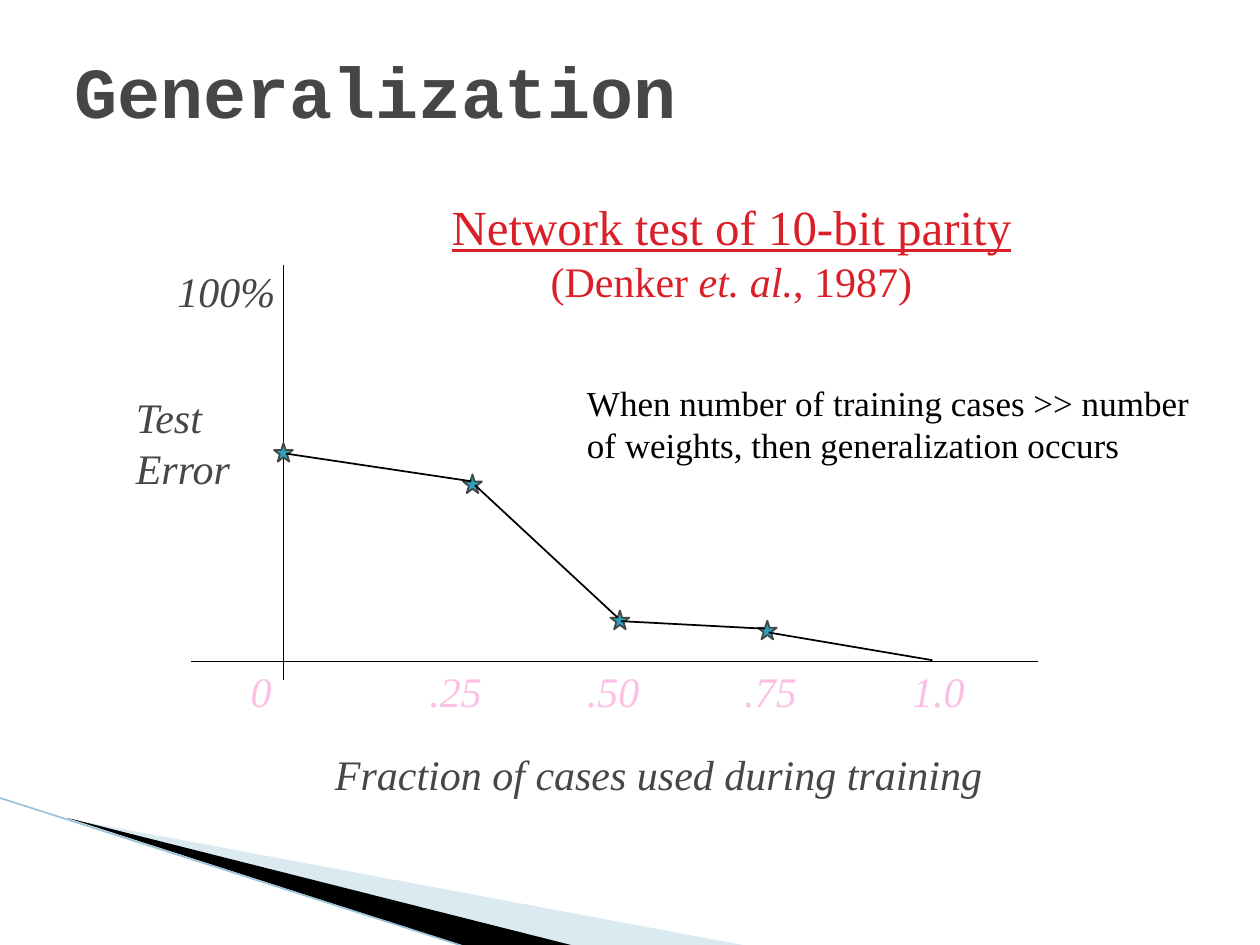
from dataclasses import dataclass
from lxml import etree
from pptx import Presentation
from pptx.dml.color import RGBColor
from pptx.enum.shapes import MSO_CONNECTOR, MSO_SHAPE
from pptx.enum.text import MSO_ANCHOR, MSO_AUTO_SIZE, PP_ALIGN
from pptx.oxml.ns import qn
from pptx.util import Inches, Pt

LEFT, CENTER = PP_ALIGN.LEFT, PP_ALIGN.CENTER
MIDDLE = MSO_ANCHOR.MIDDLE
FIT, NO_FIT = MSO_AUTO_SIZE.SHAPE_TO_FIT_TEXT, MSO_AUTO_SIZE.NONE
STRAIGHT, STAR = MSO_CONNECTOR.STRAIGHT, MSO_SHAPE.STAR_5_POINT


@dataclass(frozen=True)
class Theme:
    head: str = "Courier New"
    body: str = "Times New Roman"
    gray: str = "464646"
    black: str = "000000"
    red: str = "DA1F28"
    pink: str = "FDC0E5"
    teal: str = "2DA2BF"
    pale: str = "A0CBDC"
    edge: str = "97C5D8"
    title: int = 41
    large: int = 28
    label: int = 24
    note: int = 20


T = Theme()

# Wedges: points, fill, opacity in percent
WEDGES = [
    ([(0.55, 6.5), (5.95, 7.51), (4.56, 7.51)], T.pale, 40),
    ([(0.53, 6.49), (4.57, 7.51), (3.72, 7.52)], T.black, 100),
]
EDGE = ((-0.01, 6.33), (3.71, 7.52))
AXES = [((2.25, 2.1), (2.25, 5.4)), ((1.52, 5.25), (8.24, 5.25))]

TITLE = "Generalization"
LABELS = [
    ((2.56, 5.89, 5.35, 0.51), ["Fraction of cases used during training"]),
    ((0.98, 3.06, 0.97, 0.91), ["Test", "Error"]),
    ((1.31, 2.06, 0.99, 0.51), ["100%"]),
]
TICKS = [("0", 1.89, 0.38), (".25", 3.31, 0.63), (".50", 4.56, 0.63),
         (".75", 5.81, 0.63), ("1.0", 7.14, 0.63)]
TICK_TOP, TICK_TALL = 5.23, 0.51

STARS = [(2.25, 3.59), (3.75, 3.84), (4.92, 4.92), (6.09, 5.0)]
STAR_SIZE = 0.15
CURVE = [((2.27, 3.6), (3.74, 3.82)), ((3.77, 3.85), (4.9, 4.9)),
         ((4.93, 4.93), (6.07, 4.99)), ((6.1, 5.02), (7.4, 5.24))]

# Runs: text, size, style letters (i italic, u underline)
SOURCE = [
    [("Network test of 10-bit parity", T.large, "u")],
    [("(Denker ", T.label, ""), ("et. al.", T.label, "i"),
     (", 1987)", T.label, "")],
]
NOTE = ("When number of training cases >> number of weights, "
        "then generalization occurs")


def rgb(code):
    return RGBColor.from_string(code)


def add_run(para, text, size, color, style="", font=T.body):
    run = para.add_run()
    run.text = text
    face = run.font
    face.name, face.size = font, Pt(size)
    face.color.rgb = rgb(color)
    face.bold, face.italic, face.underline = (k in style for k in "biu")


def add_text(slide, box, lines, color, align=LEFT, wrap=False):
    frame = slide.shapes.add_textbox(*map(Inches, box)).text_frame
    frame.word_wrap = wrap
    frame.auto_size = FIT
    for i, runs in enumerate(lines):
        para = frame.add_paragraph() if i else frame.paragraphs[0]
        para.alignment = align
        for text, size, style in runs:
            add_run(para, text, size, color, style)


def add_line(slide, ends, color=T.black, width=1):
    (x1, y1), (x2, y2) = ends
    line = slide.shapes.add_connector(
        STRAIGHT, Inches(x1), Inches(y1), Inches(x2), Inches(y2))
    line.line.color.rgb = rgb(color)
    line.line.width = Pt(width)
    etree.SubElement(line.element.spPr, qn("a:effectLst"))


def add_wedge(slide, points, color, alpha):
    first, *rest = [(Inches(x), Inches(y)) for x, y in points]
    pen = slide.shapes.build_freeform(*first)
    pen.add_line_segments(rest, close=True)
    wedge = pen.convert_to_shape()
    wedge.shadow.inherit = False
    wedge.fill.solid()
    wedge.fill.fore_color.rgb = rgb(color)
    wedge.line.fill.background()
    if alpha < 100:
        tint = wedge.element.spPr.find(".//" + qn("a:srgbClr"))
        etree.SubElement(tint, qn("a:alpha"), val=str(alpha * 1000))


def add_star(slide, x, y):
    half = STAR_SIZE / 2
    star = slide.shapes.add_shape(
        STAR, Inches(x - half), Inches(y - half),
        Inches(STAR_SIZE), Inches(STAR_SIZE))
    star.shadow.inherit = False
    star.fill.solid()
    star.fill.fore_color.rgb = rgb(T.teal)
    star.line.color.rgb = rgb(T.gray)
    star.line.width = Pt(1)


def set_title(slide):
    title = slide.shapes.title
    title.left, title.top, title.width, title.height = map(
        Inches, (0.49, 0.09, 9, 1.25))
    frame = title.text_frame
    frame.vertical_anchor = MIDDLE
    frame.auto_size = NO_FIT
    para = frame.paragraphs[0]
    para.alignment = LEFT
    add_run(para, TITLE, T.title, T.gray, "b", T.head)


def main():
    deck = Presentation()
    deck.slide_width, deck.slide_height = Inches(10), Inches(7.5)
    slide = deck.slides.add_slide(deck.slide_layouts[5])

    for wedge in WEDGES:
        add_wedge(slide, *wedge)
    add_line(slide, EDGE, T.edge, 0.95)
    set_title(slide)

    for axis in AXES:
        add_line(slide, axis)
    for box, lines in LABELS:
        add_text(slide, box, [[(s, T.label, "i")] for s in lines], T.gray)
    for text, x, wide in TICKS:
        add_text(slide, (x, TICK_TOP, wide, TICK_TALL),
                 [[(text, T.label, "i")]], T.pink)

    for spot in STARS:
        add_star(slide, *spot)
    for part in CURVE:
        add_line(slide, part)

    add_text(slide, (3.46, 1.51, 4.69, 0.97), SOURCE, T.red, CENTER)
    add_text(slide, (4.56, 2.98, 5.19, 0.77), [[(NOTE, T.note, "")]],
             T.black, wrap=True)
    deck.save("out.pptx")


if __name__ == "__main__":
    main()
